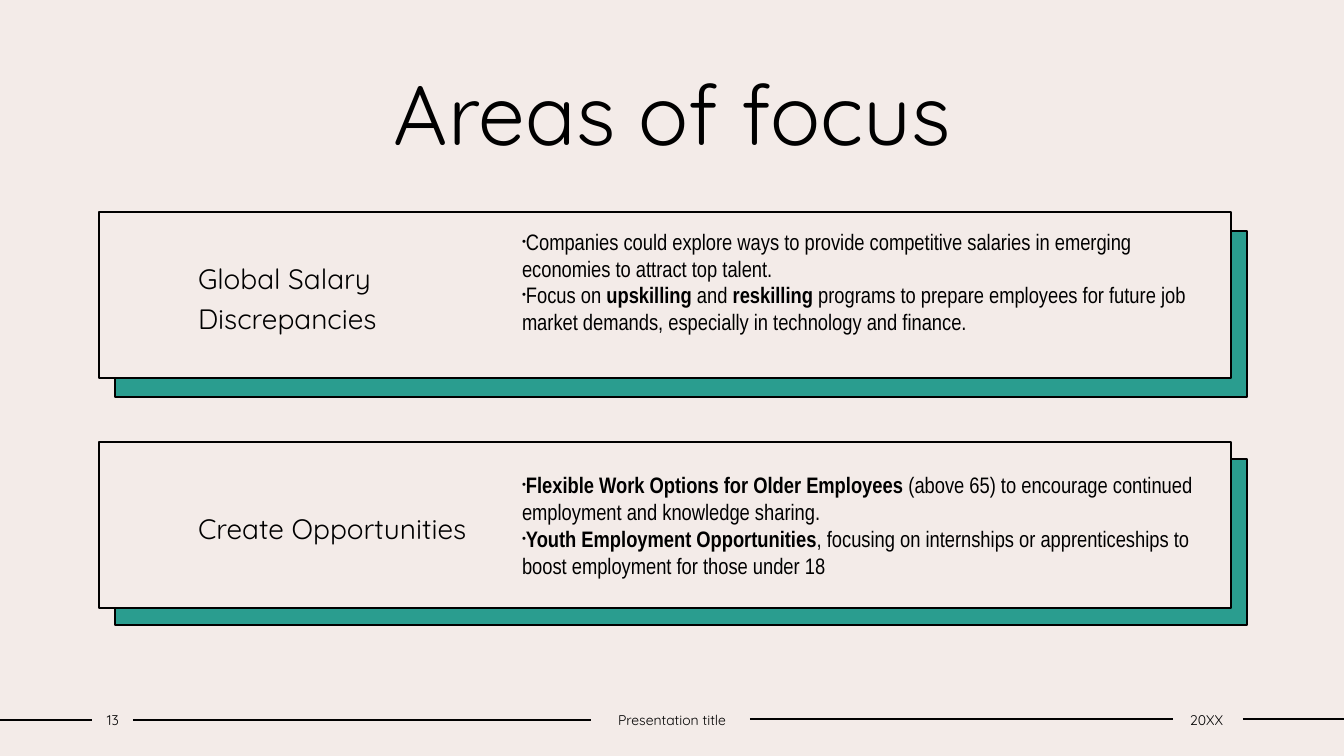
import pptx
import pptx.util
import pptx.dml.color
import pptx.enum.shapes
import pptx.enum.text
import pptx.oxml.ns
from lxml import etree

PX = 914400 / 100.8
CREAM = pptx.dml.color.RGBColor(0xF3, 0xEB, 0xE8)
TEAL = pptx.dml.color.RGBColor(0x2A, 0x9D, 0x8F)
BLACK = pptx.dml.color.RGBColor(0, 0, 0)
HEADING_FONT = "Quicksand"
BODY_FONT = "Arial Narrow"
CENTER = pptx.enum.text.PP_ALIGN.CENTER
LEFT = pptx.enum.text.PP_ALIGN.LEFT

CARD_LEFT, CARD_WIDTH, CARD_HEIGHT = 99, 1132, 166
# heading, card top, drop of the teal backing, extra space under the points, points
CARDS = [
    ("Global Salary Discrepancies", 212, 19, 27, [
        [("Companies could explore ways to provide competitive salaries in emerging "
          "economies to attract top talent.", False)],
        [("Focus on ", False), ("upskilling", True), (" and ", False), ("reskilling", True),
         (" programs to prepare employees for future job market demands, especially in "
          "technology and finance.", False)],
    ]),
    ("Create Opportunities", 442, 17, 0, [
        [("Flexible Work Options for Older Employees", True),
         (" (above 65) to encourage continued employment and knowledge sharing.", False)],
        [("Youth Employment Opportunities", True),
         (", focusing on internships or apprenticeships to boost employment for those "
          "under 18", False)],
    ]),
]
FOOTER_LINES = [(0, 92, 720), (133, 591, 720), (750, 1173, 719), (1243, 1344, 719)]
FOOTER_LABELS = [("13", 93, 40), ("Presentation title", 591, 162), ("20XX", 1171, 71)]


def px(length):
    return pptx.util.Emu(round(length * PX))


def place(left, top, width, height):
    return px(left), px(top), px(width), px(height)


def set_frame(frame, insets):
    """Wrap and centre vertically; insets run left, top, right, bottom."""
    frame.word_wrap = True
    frame.auto_size = pptx.enum.text.MSO_AUTO_SIZE.NONE
    frame.vertical_anchor = pptx.enum.text.MSO_ANCHOR.MIDDLE
    (frame.margin_left, frame.margin_top,
     frame.margin_right, frame.margin_bottom) = map(px, insets)


def format_span(span, size, name, bold=False):
    span.font.size = pptx.util.Pt(size)
    span.font.name = name
    span.font.bold = bold
    span.font.color.rgb = BLACK


def set_line(frame, text, size, align):
    frame.text = text
    para = frame.paragraphs[0]
    para.alignment = align
    format_span(para.runs[0], size, HEADING_FONT)
    return para


def add_panel(page, box, fill):
    panel = page.shapes.add_shape(pptx.enum.shapes.MSO_SHAPE.RECTANGLE, *place(*box))
    panel.shadow.inherit = False
    panel.fill.solid()
    panel.fill.fore_color.rgb = fill
    panel.line.color.rgb = BLACK
    panel.line.width = pptx.util.Pt(2)
    return panel


def add_bullet(para):
    properties = para._p.get_or_add_pPr()
    properties.set("marL", "0")
    properties.set("indent", str(-px(15)))
    for tag, key, value in (("a:buSzPct", "val", "50000"),
                            ("a:buFont", "typeface", "Arial"),
                            ("a:buChar", "char", "•")):
        etree.SubElement(properties, pptx.oxml.ns.qn(tag)).set(key, value)


def add_points(page, box, points, space_below):
    frame = page.shapes.add_textbox(*place(*box)).text_frame
    set_frame(frame, (10, 5, 10, 5 + space_below))
    for index, point in enumerate(points):
        para = frame.add_paragraph() if index else frame.paragraphs[0]
        add_bullet(para)
        for text, bold in point:
            span = para.add_run()
            span.text = text
            format_span(span, 16, BODY_FONT, bold)


def add_card(page, box, heading, drop, space_below, points):
    left, top, width, height = box
    add_panel(page, (left + 16, top + drop, width, height), TEAL)
    frame = add_panel(page, box, CREAM).text_frame
    set_frame(frame, (99, 5, 716, 5))
    set_line(frame, heading, 20, LEFT).line_spacing = 1.2
    add_points(page, (left + 413, top + 10, 707, height - 20), points, space_below)


def add_title(page, box, text):
    title = page.shapes.title
    title.left, title.top, title.width, title.height = place(*box)
    set_frame(title.text_frame, (10, 5, 10, 5))
    set_line(title.text_frame, text, 60, CENTER)


def add_footer(page, top, height):
    for start, end, level in FOOTER_LINES:
        rule = page.shapes.add_connector(pptx.enum.shapes.MSO_CONNECTOR.STRAIGHT,
                                         px(start), px(level), px(end), px(level))
        rule.line.color.rgb = BLACK
        rule.line.width = pptx.util.Pt(1)
        etree.SubElement(rule._element.spPr, pptx.oxml.ns.qn("a:effectLst"))
    for text, left, width in FOOTER_LABELS:
        frame = page.shapes.add_textbox(*place(left, top, width, height)).text_frame
        set_frame(frame, (0, 5, 0, 5))
        set_line(frame, text, 10, CENTER)


def main():
    deck = pptx.Presentation()
    deck.slide_width, deck.slide_height = px(1344), px(756)
    page = deck.slides.add_slide(deck.slide_layouts[5])
    page.background.fill.solid()
    page.background.fill.fore_color.rgb = CREAM
    add_title(page, (126, 56, 1093, 112), "Areas of focus")
    for heading, top, drop, space_below, points in CARDS:
        add_card(page, (CARD_LEFT, top, CARD_WIDTH, CARD_HEIGHT),
                 heading, drop, space_below, points)
    add_footer(page, 706, 27)
    deck.save("out.pptx")


if __name__ == "__main__":
    main()
